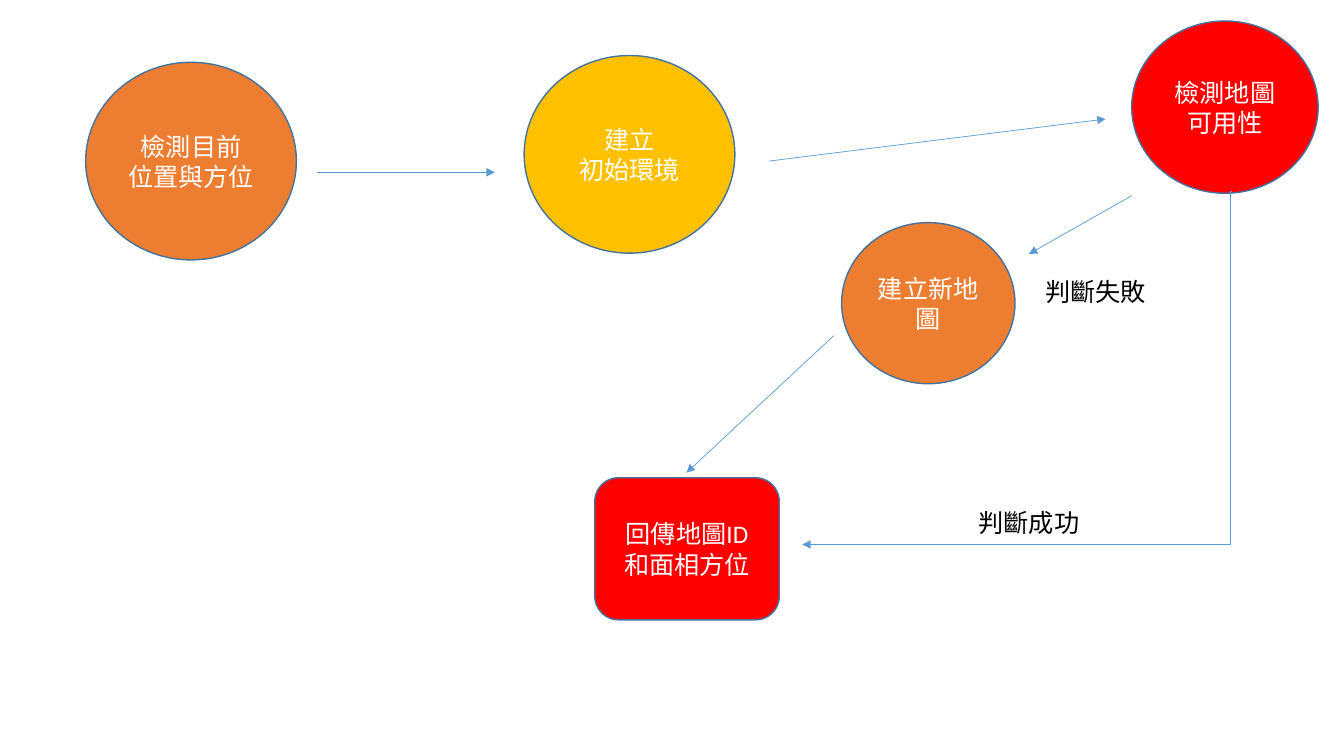
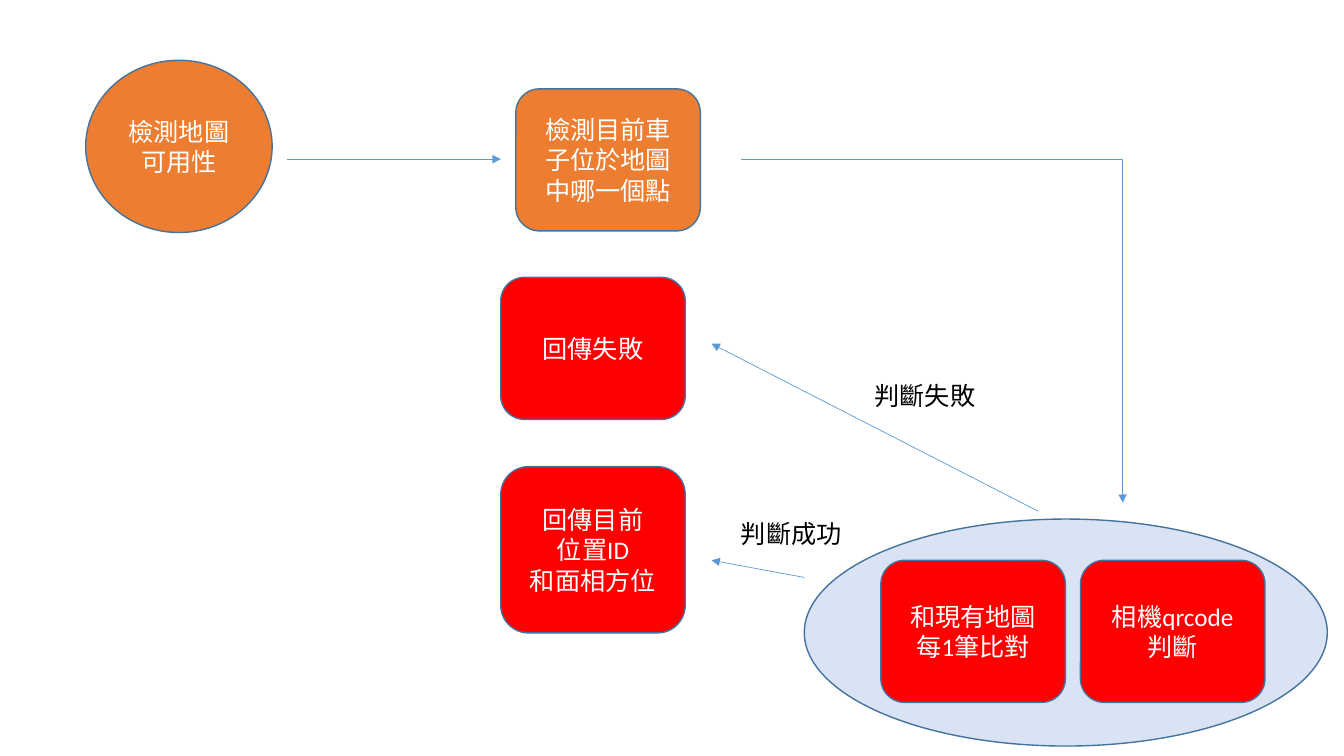
import pptx
import pptx.util
import pptx.dml.color
import pptx.enum.shapes
import pptx.enum.text
import pptx.oxml
import pptx.oxml.ns
import lxml.etree

Cm, Pt = pptx.util.Cm, pptx.util.Pt
RGBColor = pptx.dml.color.RGBColor
MSO_SHAPE = pptx.enum.shapes.MSO_SHAPE
CONNECTOR = pptx.enum.shapes.MSO_CONNECTOR
ALIGN = pptx.enum.text.PP_ALIGN
ANCHOR = pptx.enum.text.MSO_ANCHOR
AUTO_SIZE = pptx.enum.text.MSO_AUTO_SIZE
qn = pptx.oxml.ns.qn

# Shared colours, text formats and sizes (cm)
ORANGE = RGBColor(0xED, 0x7D, 0x31)
YELLOW = RGBColor(0xFF, 0xC0, 0x00)
RED = RGBColor(0xFF, 0x00, 0x00)
PALE = RGBColor(0xDA, 0xE3, 0xF3)
OUTLINE = RGBColor(0x43, 0x73, 0x9E)
ARROW = RGBColor(0x5B, 0x9B, 0xD5)
WHITE = RGBColor(0xFF, 0xFF, 0xFF)
BLACK = RGBColor(0x00, 0x00, 0x00)
FONT = {"name": "Calibri", "size": Pt(18)}
NODE_FRAME = {"word_wrap": True, "vertical_anchor": ANCHOR.MIDDLE}
LABEL_FRAME = {"word_wrap": False, "auto_size": AUTO_SIZE.SHAPE_TO_FIT_TEXT}
LABEL_SIZE = (3.07, 1.02)

# Node kinds: preset shape, width, height
KINDS = {
    "step": (MSO_SHAPE.OVAL, 5.31, 4.98),
    "check": (MSO_SHAPE.OVAL, 4.7, 4.34),
    "new map": (MSO_SHAPE.OVAL, 4.37, 4.06),
    "group": (MSO_SHAPE.OVAL, 13.18, 5.72),
    "box": (MSO_SHAPE.ROUNDED_RECTANGLE, 4.65, 3.58),
    "tall box": (MSO_SHAPE.ROUNDED_RECTANGLE, 4.65, 4.19),
}

# Content: nodes (kind, fill, left, top, text), labels (left, top, text),
# arrows (from, to) and elbows (from, to, bend position in 1/100000 of the width)
# In node text \v breaks a line and \n starts a paragraph
SLIDES = [
    {
        "nodes": [
            ("step", ORANGE, 2.16, 1.57, "檢測目前\v位置與方位"),
            ("step", YELLOW, 13.21, 1.4, "建立\v初始環境"),
            ("check", RED, 28.52, 0.53, "檢測地圖可用性"),
            ("new map", ORANGE, 21.21, 5.61, "建立新地圖"),
            ("box", RED, 14.99, 12.04, "回傳地圖ID\n和面相方位"),
        ],
        "labels": [(26.09, 6.83, "判斷失敗"), (24.41, 12.67, "判斷成功")],
        "arrows": [
            ((8, 4.34), (12.47, 4.34)),
            ((19.38, 4.06), (27.86, 3)),
            ((28.52, 4.93), (25.93, 6.4)),
            ((21.01, 8.46), (17.3, 11.91)),
        ],
        "elbows": [((31.03, 4.83), (20.22, 13.72), 100)],
    },
    {
        "nodes": [
            ("check", ORANGE, 2.16, 1.52, "檢測地圖可用性"),
            ("box", ORANGE, 13, 2.24, "檢測目前車子位於地圖中哪一個點"),
            ("box", RED, 12.62, 6.99, "回傳失敗"),
            ("tall box", RED, 12.62, 11.76, "回傳目前\v位置ID\v和面相方位"),
            ("group", PALE, 20.27, 13.08, ""),
            ("box", RED, 22.2, 14.12, "和現有地圖每1筆比對"),
            ("box", RED, 27.23, 14.12, "相機qrcode 判斷"),
        ],
        "labels": [(21.79, 9.47, "判斷失敗"), (18.42, 12.93, "判斷成功")],
        "arrows": [
            ((7.24, 4.01), (12.62, 4.01)),
            ((26.16, 12.88), (17.93, 8.66)),
            ((20.27, 14.55), (17.93, 14.12)),
        ],
        "elbows": [((18.67, 4.01), (28.3, 12.67), 99900)],
    },
]


def apply(obj, values):
    for name, value in values.items():
        setattr(obj, name, value)


def write(sp, text, frame, color, align):
    tf = sp.text_frame
    apply(tf, frame)
    tf.text = text
    for p in tf.paragraphs:
        p.alignment = align
        for r in p.runs:
            apply(r.font, FONT)
            r.font.color.rgb = color


def add_node(s, kind, fill, left, top, text):
    preset, width, height = KINDS[kind]
    sp = s.shapes.add_shape(preset, Cm(left), Cm(top), Cm(width), Cm(height))
    sp.shadow.inherit = False
    sp.fill.solid()
    sp.fill.fore_color.rgb = fill
    sp.line.color.rgb = OUTLINE
    sp.line.width = Pt(1)
    if text:
        write(sp, text, NODE_FRAME, WHITE, ALIGN.CENTER)


def add_label(s, left, top, text):
    sp = s.shapes.add_textbox(Cm(left), Cm(top), *map(Cm, LABEL_SIZE))
    write(sp, text, LABEL_FRAME, BLACK, ALIGN.LEFT)


def add_arrow(s, start, end, bend=None):
    kind = CONNECTOR.STRAIGHT if bend is None else CONNECTOR.ELBOW
    line = s.shapes.add_connector(kind, *map(Cm, start + end))
    line.line.color.rgb = ARROW
    line.line.width = Pt(0.5)
    # Arrowhead, no shadow, bend position
    props = line._element.spPr
    lxml.etree.SubElement(props.find(qn("a:ln")), qn("a:tailEnd"), type="triangle")
    lxml.etree.SubElement(props, qn("a:effectLst"))
    if bend is not None:
        guides = props.find(qn("a:prstGeom")).find(qn("a:avLst"))
        lxml.etree.SubElement(guides, qn("a:gd"), name="adj1", fmla=f"val {bend}")


# Build the slides
prs = pptx.Presentation()
prs.slide_width, prs.slide_height = Cm(33.87), Cm(19.05)
for content in SLIDES:
    s = prs.slides.add_slide(prs.slide_layouts[6])
    for node in content["nodes"]:
        add_node(s, *node)
    for label in content["labels"]:
        add_label(s, *label)
    for arrow in content["arrows"] + content["elbows"]:
        add_arrow(s, *arrow)
prs.save("out.pptx")
